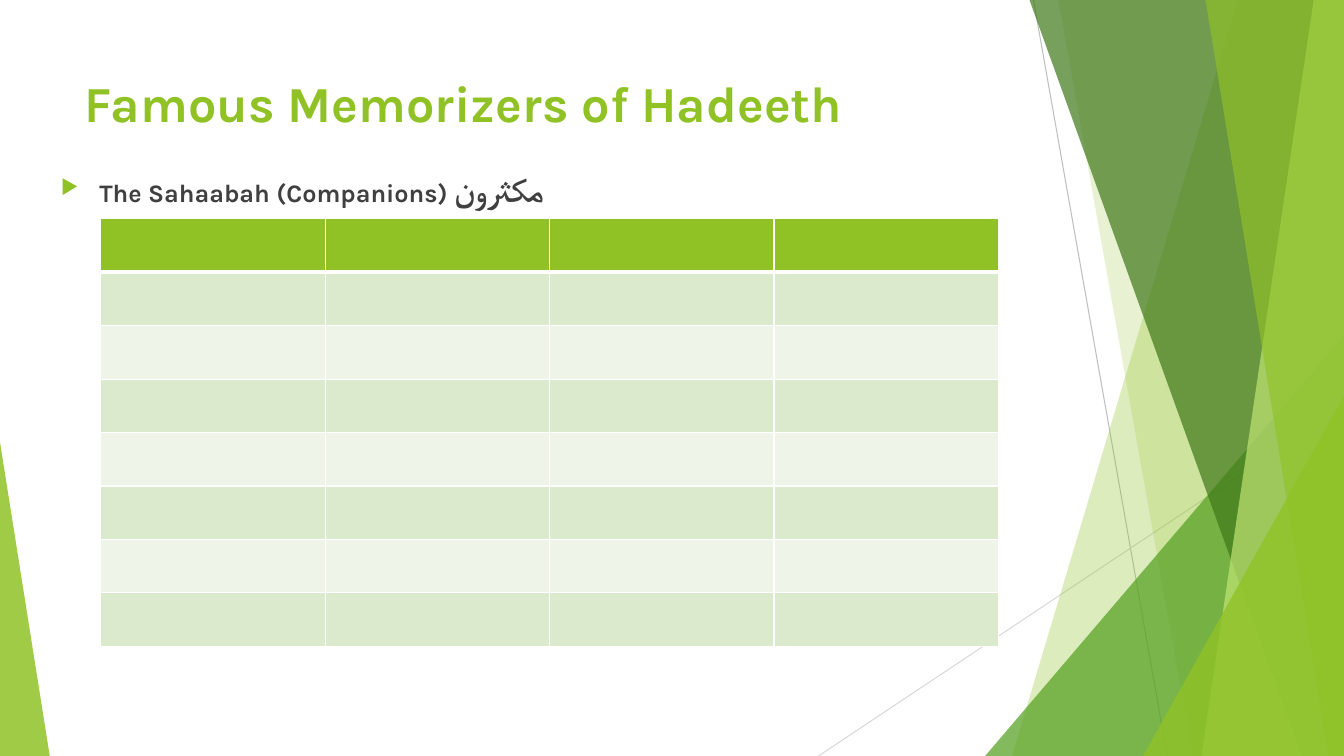
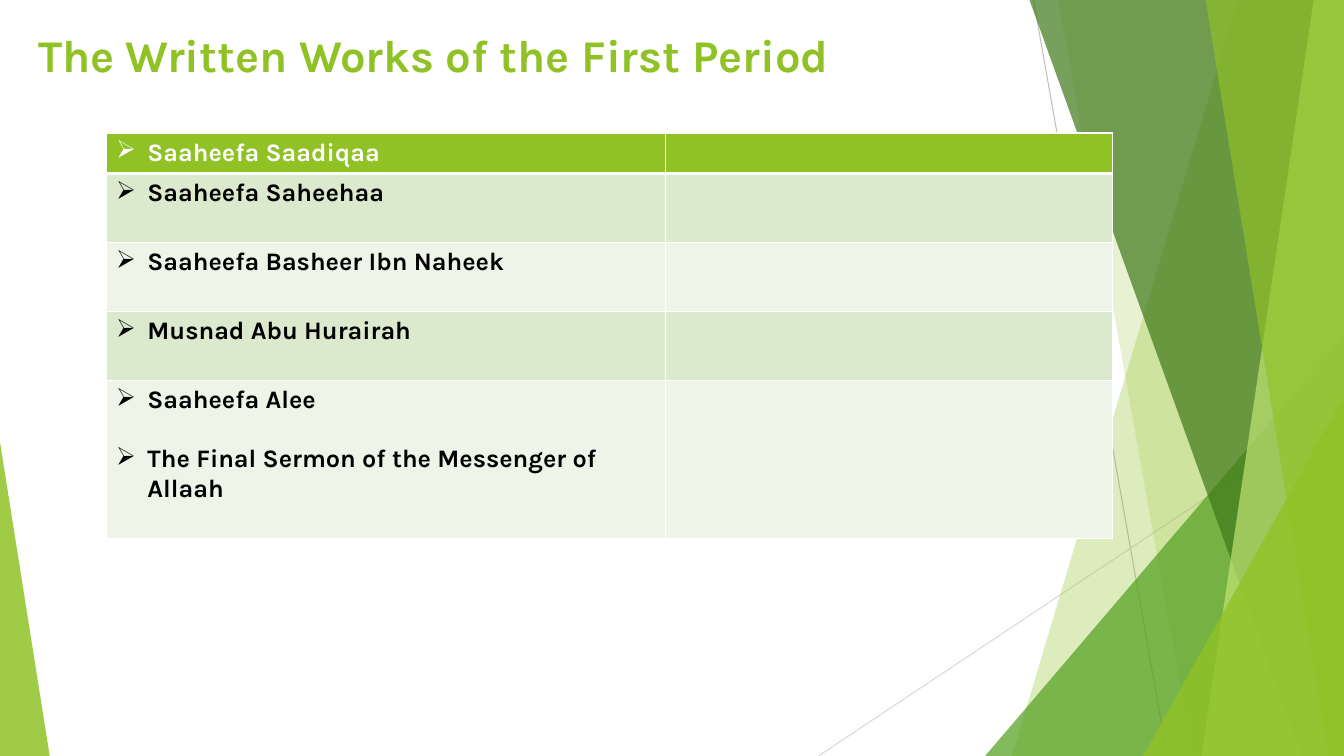
import lxml.etree
import pptx
import pptx.dml.color
import pptx.enum.shapes
import pptx.enum.text
import pptx.oxml.ns
import pptx.util

GREEN, DARK, LEAF, LIME = "90C226", "3F7819", "54A021", "C0E474"
WHITE, BLACK, TEXT = "FFFFFF", "000000", "404040"
BANDS = ["EEF4E8", "DBE9CD"]
QN = pptx.oxml.ns.qn


def colour(code):
    return pptx.dml.color.RGBColor.from_string(code)


def add_xml(parent, tag, **attributes):
    return lxml.etree.SubElement(parent, QN(tag), attributes)


class Deck:
    """Holds the style and current slide; lengths are percent of the slide."""

    # Lines: start, end, colour
    LINES = [((76.9, 0), (86.85, 100), "BFBFBF"),
             ((100, 53.7), (60.9, 100), "D9D9D9")]
    # Facets reaching the right edge: top x, bottom x, colour, opacity.
    # Triangles: left, top, width, apex, colour, opacity.
    FACETS = [(92.1, 75.3, GREEN, 30),
              (78.75, 88.75, GREEN, 20),
              (73.3, 44.4, 26.7, 1, LEAF, 72),
              (76.6, 96.85, DARK, 70),
              (97.75, 89.4, LIME, 70),
              (89.7, 98.85, GREEN, 65),
              (85.05, 52.4, 14.95, 1, GREEN, 80),
              (0, 58.5, 3.7, 0, GREEN, 85)]

    def __init__(self):
        self.file = pptx.Presentation()
        self.file.slide_width = pptx.util.Inches(13.333)
        self.file.slide_height = pptx.util.Inches(7.5)
        self.slide = None

    def x(self, share):
        return round(self.file.slide_width * share / 100)

    def y(self, share):
        return round(self.file.slide_height * share / 100)

    def area(self, left, top, width, height):
        return self.x(left), self.y(top), self.x(width), self.y(height)

    def add_slide(self, title, area, size):
        self.slide = self.file.slides.add_slide(self.file.slide_layouts[6])
        self.add_backdrop()
        self.add_text(area, [(title, {"size": size, "color": GREEN})])

    # Shared backdrop
    def add_backdrop(self):
        for start, end, code in self.LINES:
            self.add_line(start, end, code)
        for *outline, code, opacity in self.FACETS:
            draw = self.add_facet if len(outline) == 2 else self.add_triangle
            self.paint(draw(*outline), code, opacity)

    def add_line(self, start, end, code):
        line = self.slide.shapes.add_connector(
            pptx.enum.shapes.MSO_CONNECTOR.STRAIGHT,
            self.x(start[0]), self.y(start[1]), self.x(end[0]), self.y(end[1]))
        line.line.color.rgb = colour(code)
        line.line.width = pptx.util.Pt(0.75)
        add_xml(line.element.spPr, "a:effectLst")

    def add_facet(self, top_x, bottom_x):
        builder = self.slide.shapes.build_freeform(self.x(top_x), 0, 1.0)
        corners = [(100, 0), (100, 100), (bottom_x, 100)]
        builder.add_line_segments([(self.x(x), self.y(y)) for x, y in corners])
        return builder.convert_to_shape()

    def add_triangle(self, left, top, width, apex):
        triangle = self.slide.shapes.add_shape(
            pptx.enum.shapes.MSO_SHAPE.ISOSCELES_TRIANGLE,
            *self.area(left, top, width, 100 - top))
        triangle.adjustments[0] = apex
        return triangle

    def paint(self, shape, code, opacity):
        shape.shadow.inherit = False
        shape.line.fill.background()
        shape.fill.solid()
        shape.fill.fore_color.rgb = colour(code)
        fill = next(shape.element.spPr.iter(QN("a:srgbClr")))
        add_xml(fill, "a:alpha", val=str(opacity * 1000))

    # Text
    def add_text(self, area, spans, **bullet):
        box = self.slide.shapes.add_textbox(*self.area(*area))
        frame = box.text_frame
        frame.word_wrap = True
        frame.vertical_anchor = pptx.enum.text.MSO_ANCHOR.TOP
        self.fill_para(frame.paragraphs[0], spans, **bullet)

    def fill_para(self, para, spans, bullet=None, indent=0.31, code=None, size=None):
        if bullet:
            properties = para._p.get_or_add_pPr()
            hang = pptx.util.Inches(indent)
            properties.set("marL", str(hang))
            properties.set("indent", str(-hang))
            if code:
                add_xml(add_xml(properties, "a:buClr"), "a:srgbClr", val=code)
            if size:
                add_xml(properties, "a:buSzPct", val=str(size * 1000))
            add_xml(properties, "a:buChar", char=bullet)
        for text, look in spans:
            span = para.add_run()
            span.text = text
            values = {"name": "Karla", "size": 18, "bold": True, **look}
            span.font.color.rgb = colour(values.pop("color"))
            values["size"] = pptx.util.Pt(values["size"])
            for key, value in values.items():
                setattr(span.font, key, value)

    # Tables: one list of bulleted items for each first-column cell
    def add_table(self, left, top, columns, rows, items=()):
        area = self.area(left, top, sum(columns), sum(rows))
        table = self.slide.shapes.add_table(len(rows), len(columns), *area).table
        for column, width in zip(table.columns, columns):
            column.width = self.x(width)
        for number, (row, height) in enumerate(zip(table.rows, rows)):
            row.height = self.y(height)
            for cell in row.cells:
                self.style_cell(cell, number)
        for number, texts in enumerate(items):
            self.list_items(table.cell(number, 0), texts, BLACK if number else WHITE)

    def style_cell(self, cell, number):
        properties = cell._tc.get_or_add_tcPr()
        heavy = {0: "B", 1: "T"}.get(number)
        for side in "LRTB":
            width = pptx.util.Pt(3 if side == heavy else 1)
            border = add_xml(properties, "a:ln" + side, w=str(width))
            add_xml(add_xml(border, "a:solidFill"), "a:srgbClr", val=WHITE)
        cell.fill.solid()
        cell.fill.fore_color.rgb = colour(BANDS[number % 2] if number else GREEN)

    def list_items(self, cell, texts, code):
        for number, text in enumerate(texts):
            frame = cell.text_frame
            para = frame.add_paragraph() if number else frame.paragraphs[0]
            self.fill_para(para, [(text, {"color": code})], bullet="➢")
            if number:
                para.space_before = pptx.util.Pt(21)


def main():
    deck = Deck()

    # Memorizers
    deck.add_slide("Famous Memorizers of Hadeeth", (5.55, 8.9, 70.5, 19.2), 36)
    deck.add_text((3.8, 21.75, 70.5, 56.55),
                  [("The Sahaabah (Companions) ", {"color": TEXT}),
                   ("مکثرون", {"color": TEXT, "name": "Roboto", "size": 24})],
                  bullet="▶", indent=0.38, code=GREEN, size=80)
    deck.add_table(7.5, 28.95, [16.7] * 4, [7.07] * 8)

    # Written works
    deck.add_slide("The Written Works of the First Period",
                   (2.1, 2.95, 68.7, 10), 32.4)
    deck.add_table(7.9, 17.6, [41.6, 33.3], [5.35] + [9.13] * 3 + [20.9],
                   [["Saaheefa Saadiqaa"],
                    ["Saaheefa Saheehaa"],
                    ["Saaheefa Basheer Ibn Naheek"],
                    ["Musnad Abu Hurairah"],
                    ["Saaheefa Alee",
                     "The Final Sermon of the Messenger of Allaah"]])

    deck.file.save("out.pptx")


if __name__ == "__main__":
    main()
